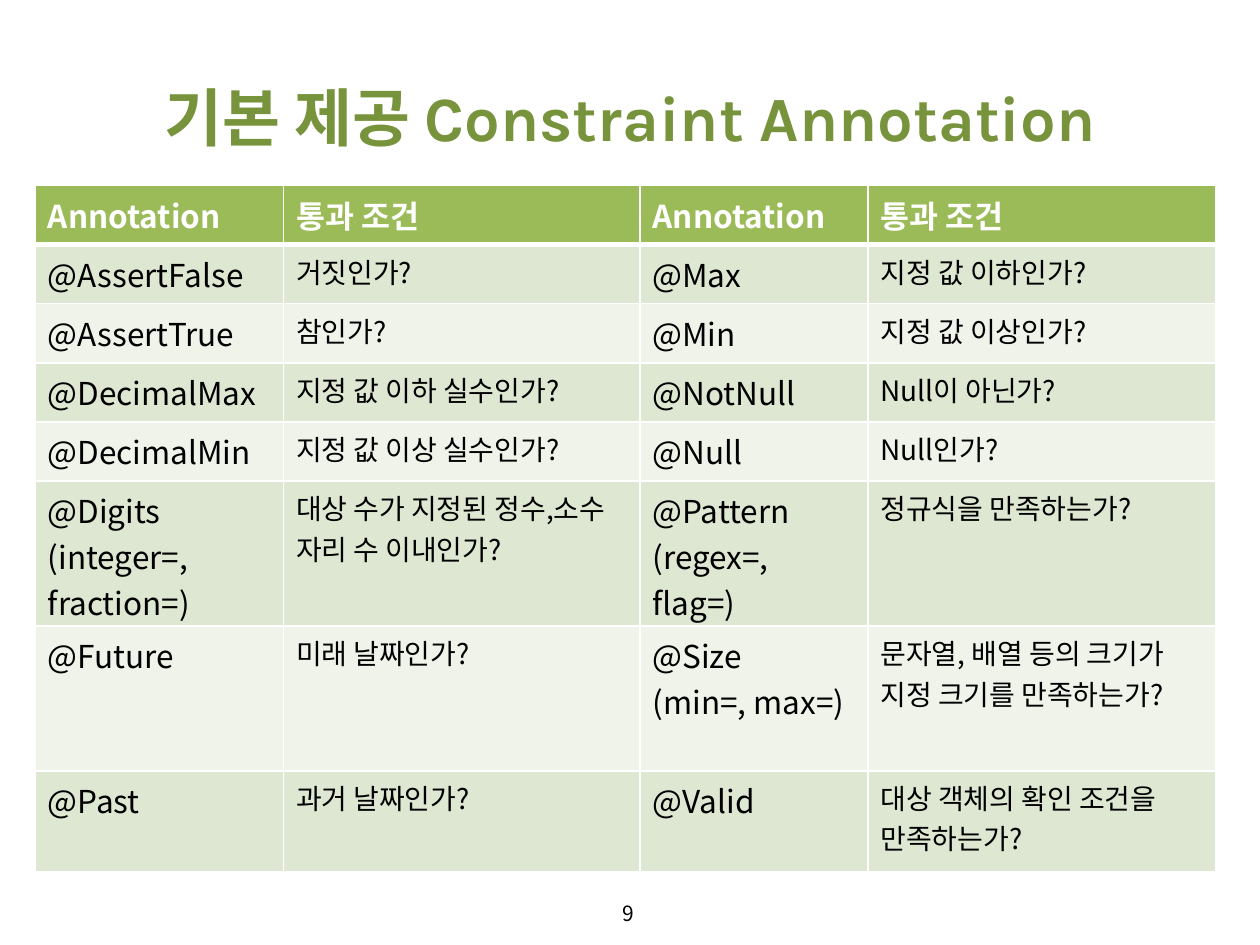
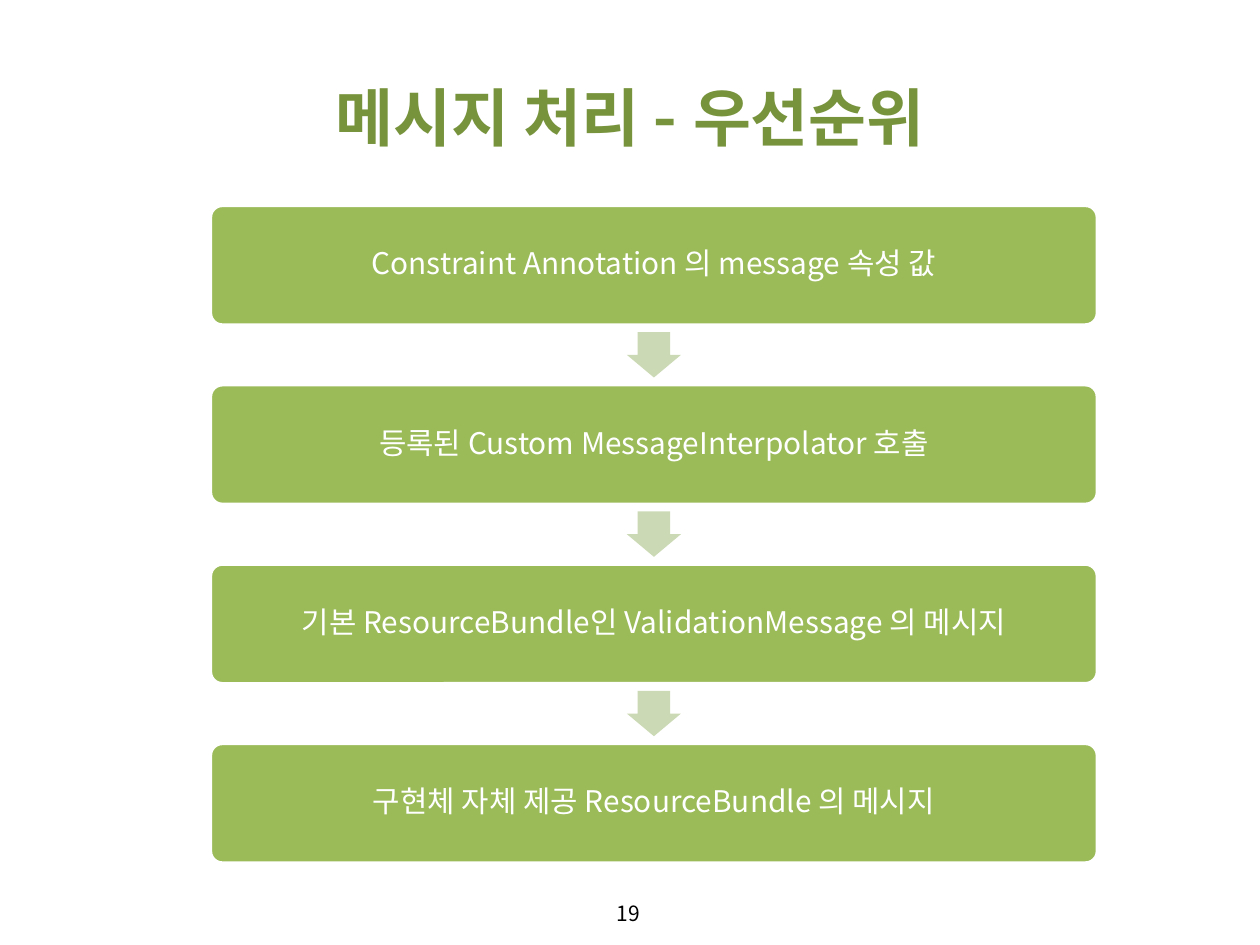
from collections import namedtuple

from lxml import etree
from pptx import Presentation, util as u
from pptx.dml.color import RGBColor
from pptx.enum import shapes, text
from pptx.oxml import ns

WIDTH, HEIGHT = 10, 7.5
BODY_FONT, TITLE_FONT = "Noto Sans CJK KR", "Karla"
COLOURS = {
    "title": "77933C",
    "green": "9BBB59",
    "arrow": "CBDAB5",
    "odd": "DEE7D1",
    "even": "EFF3EA",
    "white": "FFFFFF",
    "black": "000000",
}
Box = namedtuple("Box", "left top width height")

TITLE_BOX = Box(0.5, 0.3, 9, 1.25)
NUMBER_BOX = Box(3.82, 7.05, 2.33, 0.4)
TABLE_BOX = Box(0.28, 1.47, 9.37, 5.45)
STEPS_BOX = Box(1.67, 1.63, 7.04, 5.22)

COLUMN_WIDTHS = [1.97, 2.83, 1.81, 2.76]
ROW_HEIGHTS = [0.47] * 5 + [1.15] * 2 + [0.8]
CONSTRAINTS = [
    ("Annotation", "통과 조건", "Annotation", "통과 조건"),
    ("@AssertFalse", "거짓인가?", "@Max", "지정 값 이하인가?"),
    ("@AssertTrue", "참인가?", "@Min", "지정 값 이상인가?"),
    ("@DecimalMax", "지정 값 이하 실수인가?", "@NotNull", "Null이 아닌가?"),
    ("@DecimalMin", "지정 값 이상 실수인가?", "@Null", "Null인가?"),
    ("@Digits\n(integer=, fraction=)", "대상 수가 지정된 정수,소수 자리 수 이내인가?",
     "@Pattern\n(regex=, flag=)", "정규식을 만족하는가?"),
    ("@Future", "미래 날짜인가?",
     "@Size\n(min=, max=)", "문자열, 배열 등의 크기가 지정 크기를 만족하는가?"),
    ("@Past", "과거 날짜인가?", "@Valid", "대상 객체의 확인 조건을 만족하는가?"),
]
MESSAGE_SOURCES = [
    "Constraint Annotation 의 message 속성 값",
    "등록된 Custom MessageInterpolator 호출",
    "기본 ResourceBundle인 ValidationMessage 의 메시지",
    "구현체 자체 제공 ResourceBundle 의 메시지",
]


def colour(name):
    return RGBColor.from_string(COLOURS[name])


def inches(box):
    return [u.Inches(length) for length in box]


def write(frame, words, size, ink="black", font=BODY_FONT, bold=False,
          align=text.PP_ALIGN.LEFT, anchor=text.MSO_ANCHOR.TOP,
          inset=None, line_spacing=None):
    frame.word_wrap = True
    frame.vertical_anchor = anchor
    if inset is not None:
        frame.margin_left = frame.margin_right = u.Inches(inset)
        frame.margin_top = frame.margin_bottom = u.Inches(inset)
    para = frame.paragraphs[0]
    para.text = words
    para.alignment = align
    para.line_spacing = line_spacing
    for span in para.runs:
        span.font.size = u.Pt(size)
        span.font.name = font
        span.font.bold = bold
        span.font.color.rgb = colour(ink)
        east_asian = etree.SubElement(span.font._element, ns.qn("a:ea"))
        east_asian.set("typeface", BODY_FONT)


def write_centred(frame, words, size, **style):
    write(frame, words, size, align=text.PP_ALIGN.CENTER,
          anchor=text.MSO_ANCHOR.MIDDLE, **style)


def add_page(deck, heading, number):
    page = deck.slides.add_slide(deck.slide_layouts.get_by_name("Title Only"))
    title = page.shapes.title
    title.left, title.top, title.width, title.height = inches(TITLE_BOX)
    title.text_frame.auto_size = text.MSO_AUTO_SIZE.NONE
    write_centred(title.text_frame, heading, 36, ink="title",
                  font=TITLE_FONT, bold=True)
    footer = page.shapes.add_textbox(*inches(NUMBER_BOX))
    write_centred(footer.text_frame, str(number), 12)
    return page


def add_borders(cell, **widths):
    properties = cell._tc.get_or_add_tcPr()
    for side, width in widths.items():
        line = etree.SubElement(properties, ns.qn(f"a:ln{side}"), w=str(u.Pt(width)))
        fill = etree.SubElement(line, ns.qn("a:solidFill"))
        etree.SubElement(fill, ns.qn("a:srgbClr"), val=COLOURS["white"])


def add_constraint_table(page, box):
    frame = page.shapes.add_table(len(ROW_HEIGHTS), len(COLUMN_WIDTHS), *inches(box))
    table = frame.table
    table.horz_banding = False
    for column, width in zip(table.columns, COLUMN_WIDTHS):
        column.width = u.Inches(width)
    for row, height in zip(table.rows, ROW_HEIGHTS):
        row.height = u.Inches(height)
    for row_index, entries in enumerate(CONSTRAINTS):
        header = row_index == 0
        band = "green" if header else "odd" if row_index % 2 else "even"
        for column_index, words in enumerate(entries):
            cell = table.cell(row_index, column_index)
            add_borders(cell, L=1, R=1, T=3 if row_index == 1 else 1, B=3 if header else 1)
            cell.fill.solid()
            cell.fill.fore_color.rgb = colour(band)
            condition = column_index % 2 == 1 and not header
            write(cell.text_frame, words, 16 if condition else 18,
                  ink="white" if header else "black", bold=header)


def add_block(page, kind, box, fill, adjustments):
    block = page.shapes.add_shape(kind, *inches(box))
    block.shadow.inherit = False
    block.fill.solid()
    block.fill.fore_color.rgb = colour(fill)
    block.line.fill.background()
    for index, value in enumerate(adjustments):
        block.adjustments[index] = value
    return block


def add_step_chain(page, box, steps):
    step_height = 0.95
    pitch = (box.height - step_height) / (len(steps) - 1)
    gap = pitch - step_height
    arrow_width, arrow_height = 0.43, 0.36
    for index, words in enumerate(steps):
        top = box.top + index * pitch
        step = add_block(page, shapes.MSO_SHAPE.ROUNDED_RECTANGLE,
                         Box(box.left, top, box.width, step_height), "green", [0.1])
        step.line.color.rgb = colour("white")
        step.line.width = u.Pt(2)
        write_centred(step.text_frame, words, 17, ink="white",
                      inset=0.07, line_spacing=0.9)
        if index < len(steps) - 1:
            arrow = Box(box.left + (box.width - arrow_width) / 2,
                        top + step_height + (gap - arrow_height) / 2,
                        arrow_width, arrow_height)
            add_block(page, shapes.MSO_SHAPE.DOWN_ARROW, arrow, "arrow", [0.6, 0.5])


def main():
    deck = Presentation()
    deck.slide_width, deck.slide_height = u.Inches(WIDTH), u.Inches(HEIGHT)
    constraints = add_page(deck, "기본 제공 Constraint Annotation", 9)
    add_constraint_table(constraints, TABLE_BOX)
    priority = add_page(deck, "메시지 처리 - 우선순위", 19)
    add_step_chain(priority, STEPS_BOX, MESSAGE_SOURCES)
    deck.save("out.pptx")


if __name__ == "__main__":
    main()
